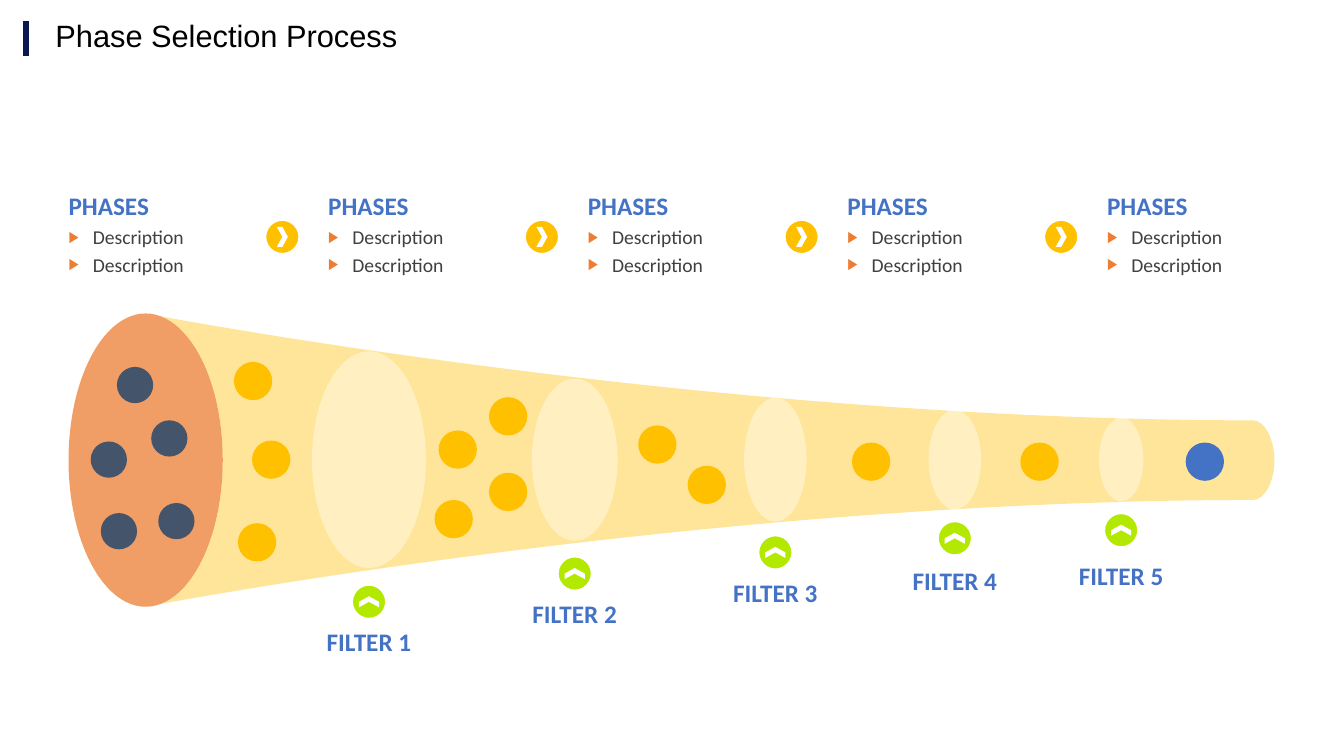
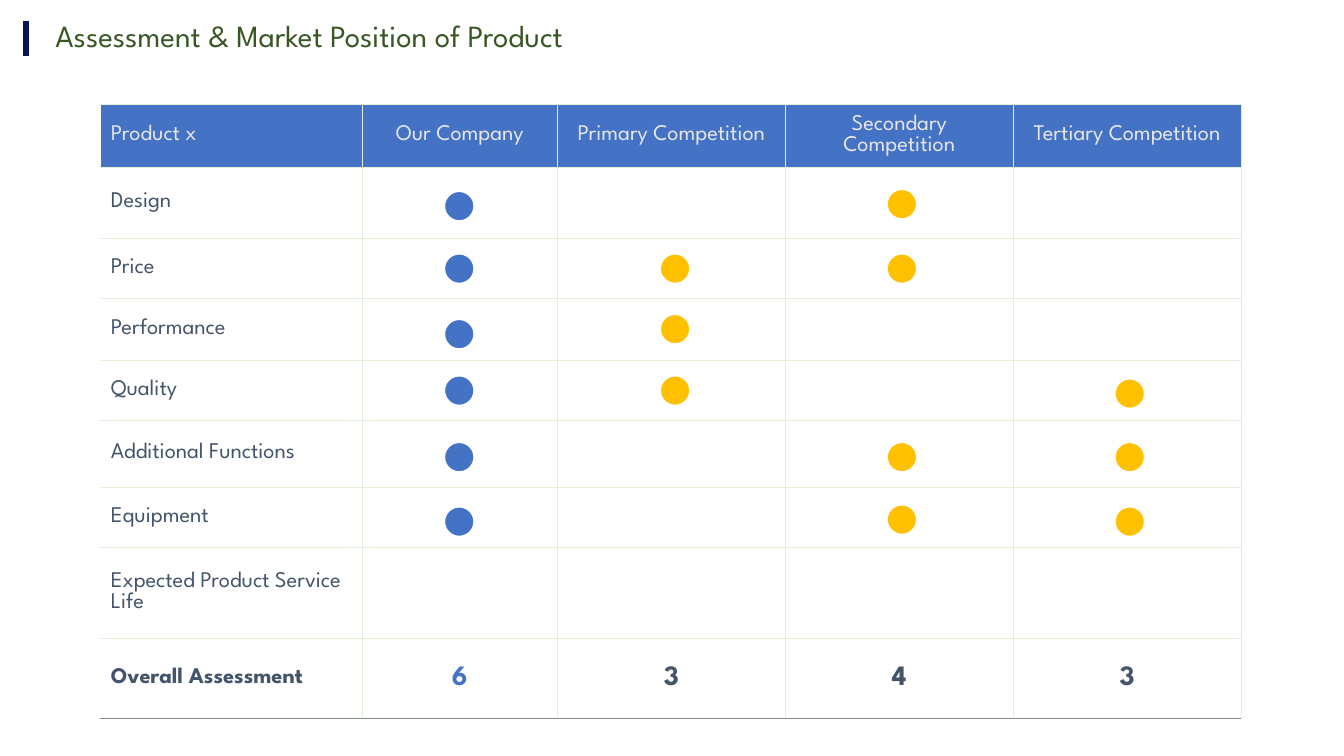
"""Build a phase selection funnel and a product assessment table."""
from dataclasses import dataclass
from typing import Any

from lxml import etree
from pptx import Presentation
from pptx import presentation as pres
from pptx import slide as sld
from pptx import table as tbl
from pptx import util as u
from pptx.dml import color as dml
from pptx.enum import shapes as es
from pptx.enum import text as et
from pptx.oxml import ns
from pptx.shapes import autoshape as auto
from pptx.text import text as txt

Inches = u.Inches
Point = tuple[float, float]


@dataclass(frozen=True)
class Theme:
    """Colours, fonts and type sizes of the presentation."""

    navy: str = "0A1750"
    blue: str = "4472C4"
    gold: str = "FFC000"
    orange: str = "ED7D31"
    lime: str = "B3E900"
    slate: str = "44546A"
    white: str = "FFFFFF"
    black: str = "000000"
    charcoal: str = "404040"
    forest: str = "385723"
    header_text: str = "E7E6E6"
    grid: str = "E2F0D9"
    base_line: str = "7F8F7F"
    plain_font: str = "Arial"
    label_font: str = "Calibri"
    display_font: str = "League Spartan"
    title_size: int = 22
    total_size: int = 20
    label_size: int = 18
    table_size: int = 16
    body_size: int = 14


@dataclass(frozen=True)
class Filter:
    """A lens across the funnel with its badge and label."""

    center: float
    width: float
    height: float
    badge_center: float
    label_top: float


@dataclass(frozen=True)
class DotGroup:
    """Equal dots given by their left and top corners."""

    color: str
    size: float
    corners: tuple[Point, ...]


@dataclass(frozen=True)
class Contender:
    """A table column with its total and its marks."""

    name: str
    width: float
    total: str
    color: str
    total_color: str
    dot_left: float
    dot_tops: tuple[float, ...]


THEME = Theme()
AXIS = 4.56
PHASE_COUNT = 5
PHASE_LEFT, PHASE_TOP = 0.68, 1.92
PHASE_PITCH = (10.98 - PHASE_LEFT) / (PHASE_COUNT - 1)
PHASE_LINES = ("Description", "Description")
LABEL_WIDTH = 1.46
MARK_SIZE = 0.29

FILTERS = (
    Filter(3.66, 1.13, 2.15, 5.97, 6.25),
    Filter(5.7, 0.85, 1.61, 5.69, 5.97),
    Filter(7.69, 0.62, 1.23, 5.48, 5.76),
    Filter(9.47, 0.52, 0.99, 5.34, 5.64),
    Filter(11.12, 0.44, 0.83, 5.26, 5.59),
)
DOT_GROUPS = (
    DotGroup(THEME.slate, 0.36, ((1.16, 3.64), (1.5, 4.17), (1.57, 4.99), (0.9, 4.38), (1, 5.09))),
    DotGroup(THEME.gold, 0.38, (
        (2.5, 4.37), (2.32, 3.59), (2.36, 5.19), (10.12, 4.39), (8.45, 4.39), (6.82, 4.62),
        (6.33, 4.22), (4.35, 4.27), (4.85, 3.94), (4.85, 4.69), (4.31, 4.96))),
    DotGroup(THEME.blue, 0.38, ((11.76, 4.39),)),
)
FUNNEL_START = (1.6, 3.14)
FUNNEL_CURVES = (
    ((2.53, 3.31), (7.48, 4.17), (12.43, 4.17)),
    ((12.54, 4.17), (12.64, 4.35), (12.64, 4.57)),
    ((12.64, 4.78), (12.54, 4.96), (12.43, 4.96)),
    ((7.48, 4.96), (2.53, 5.82), (1.6, 5.99)),
    ((1.95, 5.86), (2.21, 5.27), (2.21, 4.57)),
    ((2.21, 3.86), (1.95, 3.27), FUNNEL_START),
)
CRITERIA = (
    ("Product x", 0.63), ("Design", 0.7), ("Price", 0.6), ("Performance", 0.61),
    ("Quality", 0.6), ("Additional Functions", 0.66), ("Equipment", 0.6),
    ("Expected Product Service Life", 0.9), ("Overall Assessment", 0.8),
)
CRITERIA_WIDTH = 2.59
CONTENDERS = (
    Contender("Our Company", 1.94, "6", THEME.blue, THEME.blue, 4.41,
              (1.9, 2.52, 3.17, 3.73, 4.39, 5.03)),
    Contender("Primary Competition", 2.26, "3", THEME.gold, THEME.slate, 6.55, (2.52, 3.12, 3.73)),
    Contender("Secondary Competition", 2.26, "4", THEME.gold, THEME.slate, 8.8,
              (1.88, 2.52, 4.39, 5.01)),
    Contender("Tertiary Competition", 2.26, "3", THEME.gold, THEME.slate, 11.06,
              (3.76, 4.39, 5.03)),
)


def rgb(color: str) -> dml.RGBColor:
    """Turn a hex string into a colour."""
    return dml.RGBColor.from_string(color)


def apply(target: Any, values: dict[str, Any]) -> None:
    """Set each named attribute on the target."""
    for name, value in values.items():
        setattr(target, name, value)


def format_font(paragraph: txt._Paragraph, font: str, size: int, color: str,
                bold: bool = False) -> None:
    """Set the typeface of a paragraph's runs."""
    for run in paragraph.runs:
        apply(run.font, {"name": font, "size": u.Pt(size), "bold": bold})
        run.font.color.rgb = rgb(color)


def paint(shape: auto.Shape, color: str, alpha: int = 100, outline: float | None = None) -> None:
    """Fill a shape, with an optional white outline."""
    shape.shadow.inherit = False
    shape.fill.solid()
    shape.fill.fore_color.rgb = rgb(color)
    if alpha < 100:
        fill_color = shape.element.find(".//" + ns.qn("a:srgbClr"))
        etree.SubElement(fill_color, ns.qn("a:alpha"), val=str(alpha * 1000))
    if outline is None:
        shape.line.fill.background()
    else:
        shape.line.color.rgb = rgb(THEME.white)
        shape.line.width = u.Pt(outline)


def add_preset(slide: sld.Slide, kind: es.MSO_SHAPE, left: float, top: float, width: float,
               height: float, color: str, alpha: int = 100,
               outline: float | None = None) -> auto.Shape:
    """Add a painted preset shape."""
    shape = slide.shapes.add_shape(kind, Inches(left), Inches(top), Inches(width), Inches(height))
    paint(shape, color, alpha, outline)
    return shape


def add_badge(slide: sld.Slide, center: Point, color: str, rotation: int = 0) -> None:
    """Add a round badge with a chevron in it."""
    x, y = center
    add_preset(slide, es.MSO_SHAPE.OVAL, x - 0.175, y - 0.175, 0.35, 0.35, color, outline=2.25)
    chevron = add_preset(slide, es.MSO_SHAPE.CHEVRON, x - 0.055, y - 0.1, 0.11, 0.2, THEME.white)
    chevron.rotation = rotation


def add_label(slide: sld.Slide, text: str, left: float, top: float, width: float, height: float,
              alignment: et.PP_ALIGN) -> txt.TextFrame:
    """Add a bold blue label in a box without margins."""
    box = slide.shapes.add_textbox(Inches(left), Inches(top), Inches(width), Inches(height))
    frame = box.text_frame
    apply(frame, {"word_wrap": True, "margin_left": 0, "margin_top": 0,
                  "margin_right": 0, "margin_bottom": 0})
    paragraph = frame.paragraphs[0]
    apply(paragraph, {"text": text, "alignment": alignment, "line_spacing": 0.9})
    format_font(paragraph, THEME.label_font, THEME.label_size, THEME.blue, True)
    return frame


def add_bullet(frame: txt.TextFrame, text: str) -> None:
    """Append a paragraph with a triangle bullet."""
    paragraph = frame.add_paragraph()
    properties = paragraph._p.get_or_add_pPr()
    apply(paragraph, {"text": text, "level": 1, "space_before": u.Pt(3)})
    properties.set("marL", str(Inches(0.24)))
    properties.set("indent", str(-Inches(0.24)))
    bullet_color = etree.SubElement(properties, ns.qn("a:buClr"))
    etree.SubElement(bullet_color, ns.qn("a:srgbClr"), val=THEME.orange)
    etree.SubElement(properties, ns.qn("a:buSzPct"), val="80000")
    etree.SubElement(properties, ns.qn("a:buFont"), typeface=THEME.plain_font)
    etree.SubElement(properties, ns.qn("a:buChar"), char="▶")
    format_font(paragraph, THEME.label_font, THEME.body_size, THEME.charcoal)


def add_titled_slide(presentation: pres.Presentation, text: str, font: str,
                     color: str) -> sld.Slide:
    """Add a title-only slide with the side rule."""
    slide = presentation.slides.add_slide(presentation.slide_layouts[5])
    rule = slide.shapes.add_connector(es.MSO_CONNECTOR.STRAIGHT, Inches(0.26), Inches(0.21),
                                      Inches(0.26), Inches(0.56))
    rule.line.color.rgb = rgb(THEME.navy)
    rule.line.width = u.Pt(4.5)
    etree.SubElement(rule.element.spPr, ns.qn("a:effectLst"))
    title = slide.shapes.title
    apply(title, {"left": Inches(0.45), "top": 0, "width": Inches(8.58), "height": Inches(0.74)})
    apply(title.text_frame, {"text": text, "vertical_anchor": et.MSO_ANCHOR.MIDDLE,
                             "word_wrap": True, "auto_size": et.MSO_AUTO_SIZE.NONE})
    paragraph = title.text_frame.paragraphs[0]
    apply(paragraph, {"alignment": et.PP_ALIGN.LEFT, "line_spacing": 0.9})
    format_font(paragraph, font, THEME.title_size, color)
    return slide


def add_funnel_body(slide: sld.Slide) -> None:
    """Draw the tapering body with curved edges."""
    ends = [(Inches(curve[-1][0]), Inches(curve[-1][1])) for curve in FUNNEL_CURVES]
    builder = slide.shapes.build_freeform(*ends[-1])
    builder.add_line_segments(ends, close=True)
    body = builder.convert_to_shape()
    segments = list(body.element.iter(ns.qn("a:lnTo")))
    for segment, curve in zip(segments, FUNNEL_CURVES):
        bezier = etree.Element(ns.qn("a:cubicBezTo"))
        for x, y in curve:
            etree.SubElement(bezier, ns.qn("a:pt"), x=str(Inches(x) - body.left),
                             y=str(Inches(y) - body.top))
        segment.getparent().replace(segment, bezier)
    paint(body, THEME.gold, 40)


def add_funnel(slide: sld.Slide) -> None:
    """Draw the funnel with its mouth, dots and lenses."""
    add_preset(slide, es.MSO_SHAPE.OVAL, 0.68, 3.11, 1.53, 2.91, THEME.orange, 74)
    add_funnel_body(slide)
    for group in DOT_GROUPS:
        for left, top in group.corners:
            add_preset(slide, es.MSO_SHAPE.OVAL, left, top, group.size, group.size, group.color)
    for lens in FILTERS:
        add_preset(slide, es.MSO_SHAPE.OVAL, lens.center - lens.width / 2, AXIS - lens.height / 2,
                   lens.width, lens.height, THEME.white, 40)


def add_phase_slide(presentation: pres.Presentation) -> None:
    """Build the funnel slide."""
    slide = add_titled_slide(presentation, "Phase Selection Process", THEME.plain_font, THEME.black)
    add_funnel(slide)
    for index in range(PHASE_COUNT):
        left = PHASE_LEFT + index * PHASE_PITCH
        frame = add_label(slide, "PHASES", left, PHASE_TOP, 1.68, 0.91, et.PP_ALIGN.LEFT)
        for line in PHASE_LINES:
            add_bullet(frame, line)
        if index < PHASE_COUNT - 1:
            add_badge(slide, (left + 2.12, 2.35), THEME.gold)
    for number, lens in enumerate(FILTERS, 1):
        add_badge(slide, (lens.center, lens.badge_center), THEME.lime, 270)
        add_label(slide, f"FILTER {number}", lens.center - LABEL_WIDTH / 2, lens.label_top,
                  LABEL_WIDTH, 0.5, et.PP_ALIGN.CENTER)


def format_cell(cell: tbl._Cell, text: str, fill: str, borders: dict[str, str], size: int,
                color: str, bold: bool, alignment: et.PP_ALIGN) -> None:
    """Write a cell and set its borders and fill."""
    properties = cell._tc.get_or_add_tcPr()
    for side, border_color in borders.items():
        line = etree.SubElement(properties, ns.qn(f"a:ln{side}"), w=str(u.Pt(0.5)))
        solid = etree.SubElement(line, ns.qn("a:solidFill"))
        etree.SubElement(solid, ns.qn("a:srgbClr"), val=border_color)
    cell.fill.solid()
    cell.fill.fore_color.rgb = rgb(fill)
    cell.vertical_anchor = et.MSO_ANCHOR.MIDDLE
    if text:
        cell.text = text
        paragraph = cell.text_frame.paragraphs[0]
        paragraph.alignment = alignment
        format_font(paragraph, THEME.display_font, size, color, bold)


def add_assessment_slide(presentation: pres.Presentation) -> None:
    """Build the product comparison slide."""
    slide = add_titled_slide(presentation, "Assessment & Market Position of Product",
                             THEME.display_font, THEME.forest)
    widths = [CRITERIA_WIDTH, *(contender.width for contender in CONTENDERS)]
    table = slide.shapes.add_table(len(CRITERIA), len(widths), Inches(1), Inches(1.03),
                                   Inches(sum(widths)), Inches(6.1)).table
    table.horz_banding = False
    for column, width in zip(table.columns, widths):
        column.width = Inches(width)
    last = len(CRITERIA) - 1
    for row, (criterion, height) in enumerate(CRITERIA):
        table.rows[row].height = Inches(height)
        header, total = row == 0, row == last
        color = THEME.header_text if header else THEME.slate
        fill = THEME.blue if header else THEME.white
        borders = {"R": THEME.grid, "T": THEME.grid,
                   "B": THEME.base_line if total else THEME.grid}
        format_cell(table.cell(row, 0), criterion, fill, borders, THEME.table_size, color, total,
                    et.PP_ALIGN.LEFT)
        for column, contender in enumerate(CONTENDERS, 1):
            text = contender.name if header else contender.total if total else ""
            format_cell(table.cell(row, column), text, fill, {"L": THEME.grid, **borders},
                        THEME.total_size if total else THEME.table_size,
                        contender.total_color if total else color, total, et.PP_ALIGN.CENTER)
    for contender in CONTENDERS:
        for top in contender.dot_tops:
            add_preset(slide, es.MSO_SHAPE.OVAL, contender.dot_left, top, MARK_SIZE, MARK_SIZE,
                       contender.color, outline=0)


def main() -> None:
    """Build and save the presentation."""
    presentation = Presentation()
    apply(presentation, {"slide_width": Inches(13.33), "slide_height": Inches(7.5)})
    add_phase_slide(presentation)
    add_assessment_slide(presentation)
    presentation.save("out.pptx")


if __name__ == "__main__":
    main()
